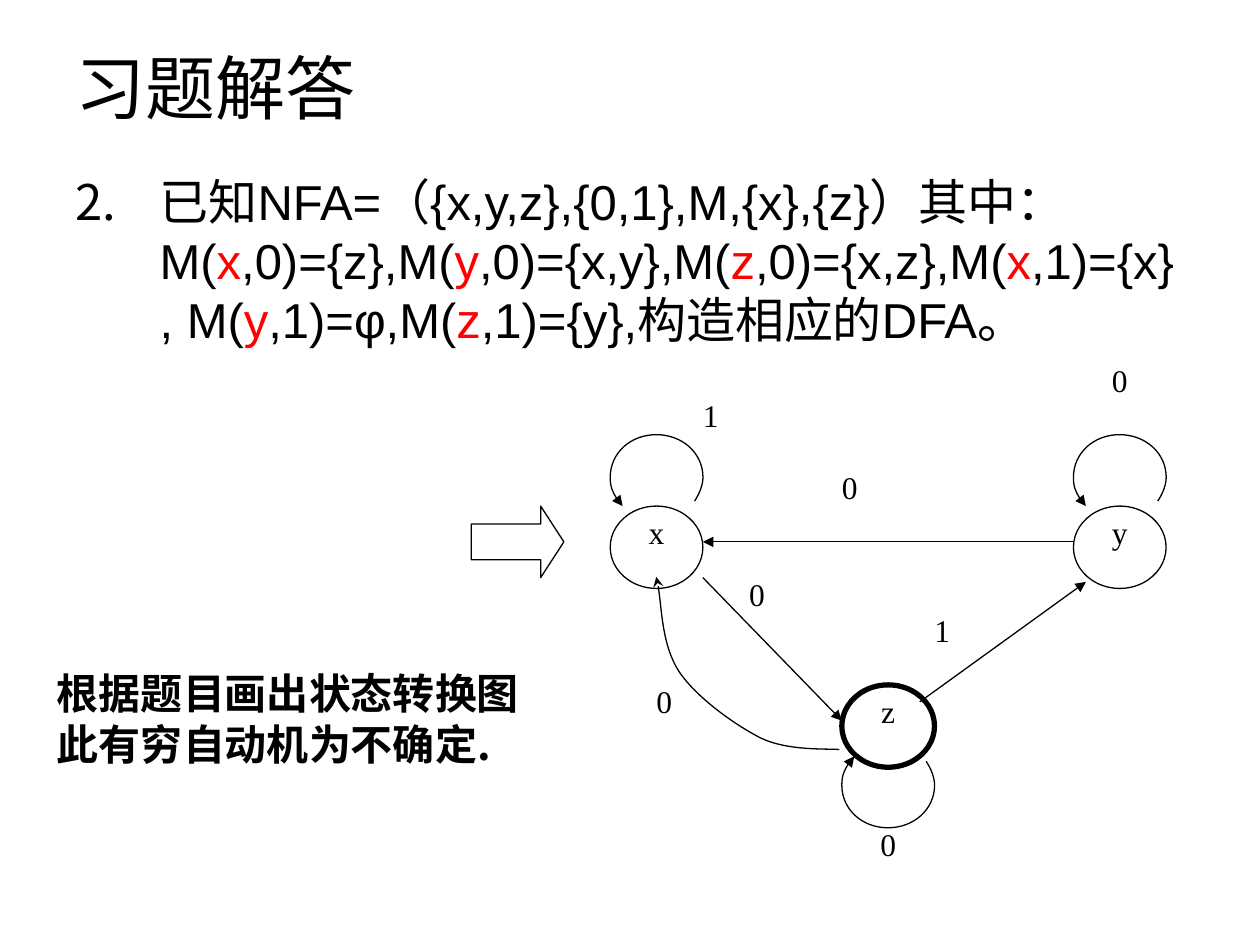
from lxml import etree
from pptx import Presentation, util as u
from pptx.dml.color import RGBColor
from pptx.enum import shapes, text
from pptx.oxml import ns

BLACK, WHITE, RED = "000000", "FFFFFF", "FF0000"
SERIF, SANS, CJK = "Times New Roman", "Arial", "Noto Sans CJK SC"

presentation = Presentation()
presentation.slide_width, presentation.slide_height = u.Cm(25.4), u.Cm(19.05)
slide = presentation.slides.add_slide(presentation.slide_layouts[6])


def color(value):
    return RGBColor.from_string(value)


def style_line(shape, width=0.75, arrow=None):
    shape.line.color.rgb = color(BLACK)
    shape.line.width = u.Pt(width)
    if arrow:
        line = shape.line._get_or_add_ln()
        etree.SubElement(line, ns.qn("a:tailEnd"), type=arrow)
    properties = shape._element.spPr
    if properties.find(ns.qn("a:effectLst")) is None:
        etree.SubElement(properties, ns.qn("a:effectLst"))


# Title, question and remark boxes
boxes = []
for left, top, width, height in [(1.27, 0.76, 22.86, 1.96),
                                 (1.27, 3.33, 22.86, 4.39),
                                 (0.9, 13.34, 10.8, 2.29)]:
    frame = slide.shapes.add_textbox(u.Cm(left), u.Cm(top), u.Cm(width), u.Cm(height)).text_frame
    frame.word_wrap = True
    boxes.append(frame)
title, question, remark = boxes

title.vertical_anchor = text.MSO_ANCHOR.MIDDLE
title.text = "习题解答"
remark.text = "根据题目画出状态转换图\n此有穷自动机为不确定."

# Question numbering
paragraph = question.paragraphs[0]
numbering = paragraph._p.get_or_add_pPr()
numbering.set("marL", str(u.Cm(1.7)))
numbering.set("indent", str(-u.Cm(1.7)))
etree.SubElement(numbering, ns.qn("a:buFont"), typeface=CJK)
etree.SubElement(numbering, ns.qn("a:buAutoNum"), type="arabicPeriod", startAt="2")

# Question wording, with the state of every transition in red
wording = ["已知NFA=（{x,y,z},{0,1},M,{x},{z}）其中：M(", "x", ",0)={z},M(", "y",
           ",0)={x,y},M(", "z", ",0)={x,z},M(", "x", ",1)={x}, M(", "y",
           ",1)=φ,M(", "z", ",1)={y},构造相应的DFA。"]
for index, part in enumerate(wording):
    run = paragraph.add_run()
    run.text = part
    run.font.color.rgb = color(RED if index % 2 else BLACK)

for frame, font, size, bold in [(title, SANS, 40, False), (question, SANS, 28, False),
                                (remark, CJK, 24, True)]:
    for paragraph in frame.paragraphs:
        paragraph.font.name = font
        paragraph.font.size = u.Pt(size)
        paragraph.font.bold = bold
        if frame is not question:
            paragraph.font.color.rgb = color(BLACK)

# Grid of the state diagram: 13 equal steps each way
COLUMN, ROW = 12.14 / 13, 9.37 / 13
xs = [9.5 + COLUMN * i for i in range(14)]
ys = [7.32 + ROW * i for i in range(14)]

# States and start arrow
nodes = [(shapes.MSO_SHAPE.OVAL, 3, 4, 1.66, 0.75, "x"),
         (shapes.MSO_SHAPE.OVAL, 13, 4, 1.66, 0.75, "y"),
         (shapes.MSO_SHAPE.OVAL, 8, 9, 1.66, 3, "z"),
         (shapes.MSO_SHAPE.RIGHT_ARROW, 0, 4, 2 * ROW, 0.75, "")]
captions = []
for kind, column, row, height, weight, name in nodes:
    shape = slide.shapes.add_shape(kind, u.Cm(xs[column]), u.Cm(ys[row]),
                                   u.Cm(2 * COLUMN), u.Cm(height))
    shape.shadow.inherit = False
    shape.fill.solid()
    shape.fill.fore_color.rgb = color(WHITE)
    style_line(shape, weight)
    if name:
        captions.append((shape, name, text.PP_ALIGN.CENTER, 0.88))
    else:
        shape.adjustments[1] = 0.324

# Straight transitions
for start, end in [((xs[13], ys[5]), (xs[5], ys[5])),
                   ((xs[5], ys[6]), (xs[8], ys[10])),
                   ((18.54, 14.15), (21.89, 11.73))]:
    connector = slide.shapes.add_connector(shapes.MSO_CONNECTOR.STRAIGHT,
                                           *[u.Cm(value) for value in start + end])
    style_line(connector, arrow="triangle")

# Curved transitions: Bezier control points, three more for each segment
loop = [(1.7, -0.1), (1.8, -0.25), (1.87, -0.43), (1.87, -0.58), (1.87, -1.07),
        (1.45, -1.44), (0.93, -1.44), (0.41, -1.44), (0, -1.07), (0, -0.58),
        (0, -0.38), (0.1, -0.15), (0.25, 0)]
curves = [([(xs[column] + x, ys[row] + flip * y) for x, y in loop], "triangle")
          for column, row, flip in [(3, 4, 1), (13, 4, 1), (8, 11, -1)]]
curves.append(([(16.92, 15.11), (16.66, 15.09), (15.88, 15.14), (15.34, 14.88),
                (14.81, 14.61), (14.05, 14.07), (13.69, 13.54),
                (13.34, 13), (13.34, 12.04), (13.23, 11.63)], "stealth"))
for controls, arrow in curves:
    start, *others = [(u.Cm(x), u.Cm(y)) for x, y in controls]
    builder = slide.shapes.build_freeform(*start)
    builder.add_line_segments(others, close=False)
    curve = builder.convert_to_shape()
    # Join every three line points into one cubic segment
    outline = next(curve._element.iter(ns.qn("a:path")))
    for index, step in enumerate(outline.findall(ns.qn("a:lnTo"))):
        if index % 3 == 0:
            cubic = etree.SubElement(outline, ns.qn("a:cubicBezTo"))
        cubic.append(step[0])
        outline.remove(step)
    curve.shadow.inherit = False
    curve.fill.background()
    style_line(curve, arrow=arrow)

# Transition symbols
for column, row, span, symbol in [(6, 6, 1, "0"), (13, 0, 2, "0"), (5, 1, 1, "1"),
                                  (4, 9, 1, "0"), (8, 3, 1, "0"), (10, 7, 1, "1"),
                                  (8, 13, 2, "0")]:
    box = slide.shapes.add_textbox(u.Cm(xs[column]), u.Cm(ys[row]),
                                   u.Cm(span * COLUMN), u.Cm(2 * ROW))
    align = text.PP_ALIGN.CENTER if span == 2 else text.PP_ALIGN.JUSTIFY
    captions.append((box, symbol, align, 0.96))

for shape, caption, align, spacing in captions:
    frame = shape.text_frame
    frame.word_wrap = True
    frame.margin_left = frame.margin_right = frame.margin_top = frame.margin_bottom = 0
    frame.vertical_anchor = text.MSO_ANCHOR.TOP
    frame.text = caption
    paragraph = frame.paragraphs[0]
    paragraph.alignment = align
    paragraph.line_spacing = spacing
    paragraph.font.name = SERIF
    paragraph.font.size = u.Pt(18)
    paragraph.font.color.rgb = color(BLACK)

presentation.save("out.pptx")
